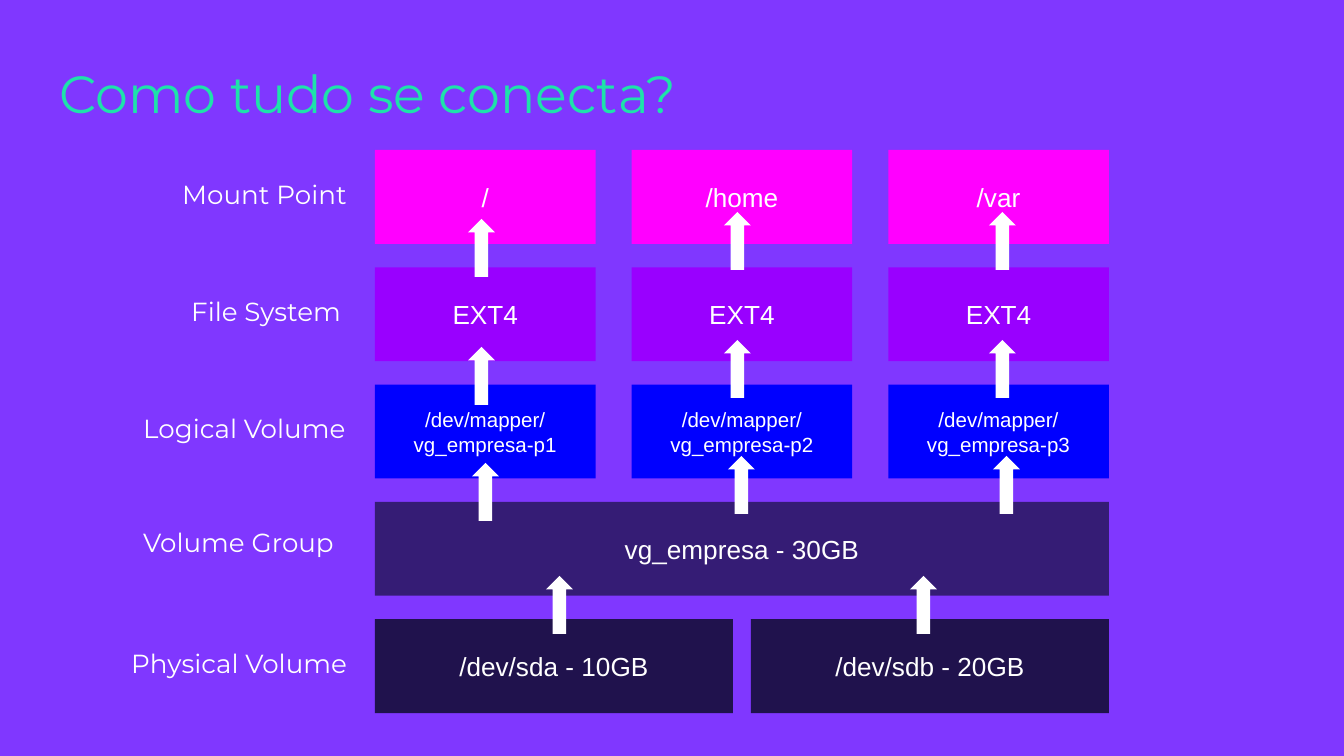
"""Build the slide that shows how the storage layers connect."""
from pptx import Presentation
from pptx.dml.color import RGBColor
from pptx.enum.shapes import MSO_SHAPE
from pptx.enum.text import MSO_ANCHOR, PP_ALIGN
from pptx.util import Emu, Pt

RECTANGLE, UP_ARROW = MSO_SHAPE.RECTANGLE, MSO_SHAPE.UP_ARROW
TOP, MIDDLE = MSO_ANCHOR.TOP, MSO_ANCHOR.MIDDLE
LEFT, CENTER = PP_ALIGN.LEFT, PP_ALIGN.CENTER
WHITE = "FFFFFF"

TITLE = "Como tudo se conecta?"
LAYERS = [
    {"label": "Mount Point", "label_at": (169, 165), "fill": "FF00FF", "size": 14, "gap": 36,
     "boxes": ["/", "/home", "/var"]},
    {"label": "File System", "label_at": (178, 282), "fill": "9900FF", "size": 14, "gap": 36,
     "boxes": ["EXT4", "EXT4", "EXT4"]},
    {"label": "Logical Volume", "label_at": (130, 399), "fill": "0000FF", "size": 11, "gap": 36,
     "boxes": [f"/dev/mapper/vg_empresa-p{number}" for number in (1, 2, 3)]},
    {"label": "Volume Group", "label_at": (130, 513), "fill": "351C75", "size": 14, "gap": 0,
     "boxes": ["vg_empresa - 30GB"]},
    {"label": "Physical Volume", "label_at": (118, 634), "fill": "20124D", "size": 14, "gap": 18,
     "boxes": ["/dev/sda - 10GB", "/dev/sdb - 20GB"]},
]
ARROW_TRIO = [(0, 7), (256, 0), (521, 0)]
ARROW_ROWS = [
    (546, 576, [(0, 0), (364, 0)]),
    (472, 456, ARROW_TRIO),
    (468, 340, ARROW_TRIO),
    (468, 212, ARROW_TRIO),
]
STACK_LEFT, STACK_TOP, STACK_WIDTH = 375, 150, 734
BOX_HEIGHT, ROW_STEP = 94, 117.3
LABEL_WIDTH, LABEL_HEIGHT = 270, 63
ARROW_WIDTH, ARROW_HEIGHT = 27, 58
INSET = 13.44


def px(length):
    return Emu(round(length * 914400 / 134.4))


def color(value):
    return RGBColor.from_string(value)


def write(shape, text, size, font, text_color, alignment, anchor):
    frame = shape.text_frame
    frame.text = text
    frame.word_wrap = True
    frame.vertical_anchor = anchor
    frame.margin_left = frame.margin_right = px(INSET)
    frame.margin_top = frame.margin_bottom = px(INSET)
    paragraph = frame.paragraphs[0]
    paragraph.alignment = alignment
    for run in paragraph.runs:
        run.font.size = Pt(size)
        run.font.name = font
        run.font.color.rgb = color(text_color)


def add_text(slide, text, left, top, width, height, size, text_color):
    box = slide.shapes.add_textbox(px(left), px(top), px(width), px(height))
    write(box, text, size, "Montserrat", text_color, LEFT, TOP)


def add_block(slide, kind, left, top, width, height, fill):
    shape = slide.shapes.add_shape(kind, px(left), px(top), px(width), px(height))
    shape.shadow.inherit = False
    shape.fill.solid()
    shape.fill.fore_color.rgb = color(fill)
    shape.line.fill.background()
    return shape


def add_layer(slide, layer, top):
    count = len(layer["boxes"])
    width = (STACK_WIDTH - layer["gap"] * (count - 1)) / count
    for column, text in enumerate(layer["boxes"]):
        left = STACK_LEFT + column * (width + layer["gap"])
        box = add_block(slide, RECTANGLE, left, top, width, BOX_HEIGHT, layer["fill"])
        write(box, text, layer["size"], "Arial", WHITE, CENTER, MIDDLE)
    add_text(slide, layer["label"], *layer["label_at"], LABEL_WIDTH, LABEL_HEIGHT, 14, WHITE)


def main():
    presentation = Presentation()
    presentation.slide_width, presentation.slide_height = px(1344), px(756)
    slide = presentation.slides.add_slide(presentation.slide_layouts[6])
    slide.background.fill.solid()
    slide.background.fill.fore_color.rgb = color("8037FF")
    add_text(slide, TITLE, 46, 48, 1253, 85, 28, "1EE2AA")
    for row, layer in enumerate(LAYERS):
        add_layer(slide, layer, STACK_TOP + row * ROW_STEP)
    for left, top, offsets in ARROW_ROWS:
        for right, down in offsets:
            add_block(slide, UP_ARROW, left + right, top + down, ARROW_WIDTH, ARROW_HEIGHT, WHITE)
    presentation.save("out.pptx")


if __name__ == "__main__":
    main()
